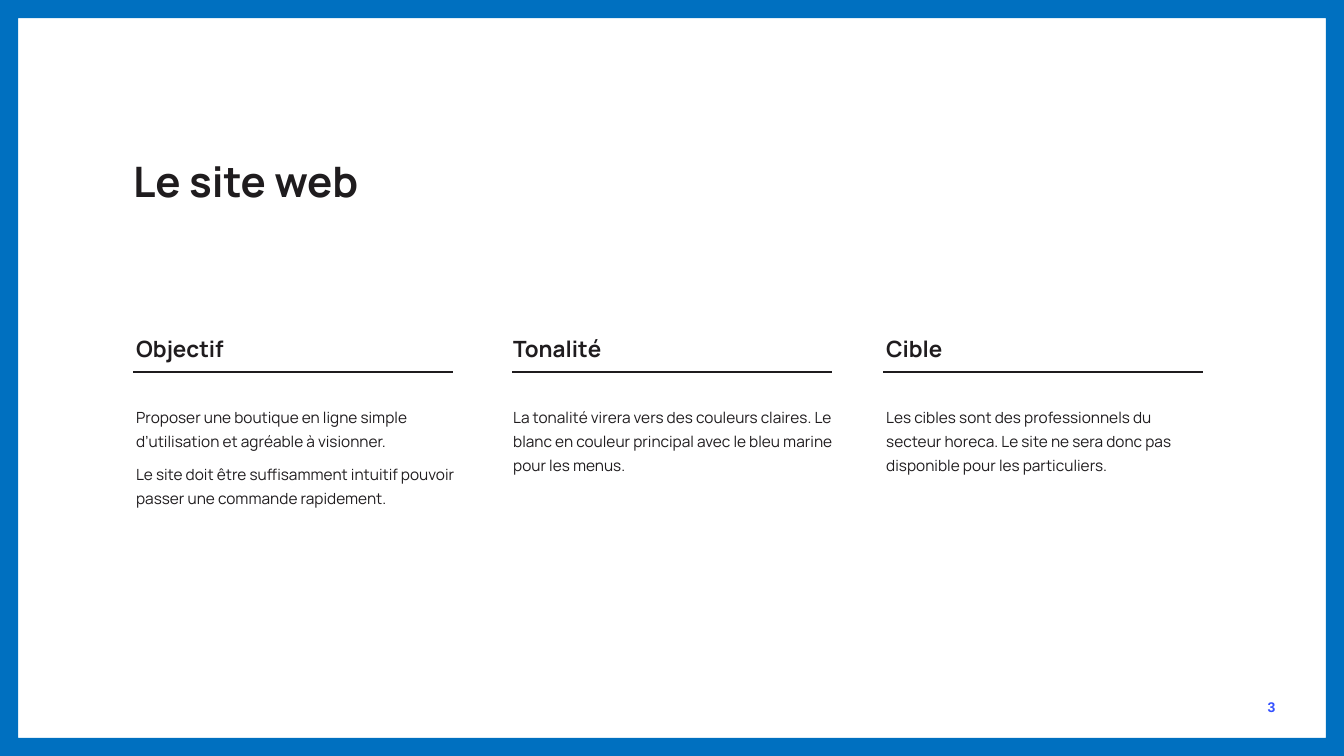
from pptx import Presentation
from pptx.dml.color import RGBColor
from pptx.enum.shapes import MSO_CONNECTOR, MSO_SHAPE
from pptx.enum.text import MSO_ANCHOR, MSO_AUTO_SIZE, PP_ALIGN
from pptx.oxml.ns import qn
from pptx.util import Inches, Pt

BLUE = RGBColor(0x00, 0x70, 0xC0)
INK = RGBColor(0x1F, 0x1C, 0x1E)
VIOLET = RGBColor(0x33, 0x50, 0xFF)
FONT = "Manrope"
STRAIGHT = MSO_CONNECTOR.STRAIGHT
FRAME = MSO_SHAPE.FRAME
TOP, MIDDLE = MSO_ANCHOR.TOP, MSO_ANCHOR.MIDDLE
LEFT, RIGHT = PP_ALIGN.LEFT, PP_ALIGN.RIGHT
NO_FIT = MSO_AUTO_SIZE.NONE

WIDTH, HEIGHT = 13.33, 7.5
BORDER = 0.18
COL_WIDTH = 3.17
COL_TOP, RULE_TOP = 3.35, 3.69
LEADING = Pt(17.2)

# text left, rule left, heading, paragraphs
COLUMNS = [
    (1.35, 1.32, "Objectif", [
        "Proposer une boutique en ligne simple d’utilisation et agréable à visionner.",
        "Le site doit être suffisamment intuitif pouvoir passer une commande rapidement.",
    ]),
    (5.09, 5.08, "Tonalité", [
        "La tonalité virera vers des couleurs claires. Le blanc en couleur principal "
        "avec le bleu marine pour les menus.",
    ]),
    (8.79, 8.76, "Cible", [
        "Les cibles sont des professionnels du secteur horeca. Le site ne sera donc "
        "pas disponible pour les particuliers.",
    ]),
]


def style(para, size, bold=False, color=INK, font=FONT, align=LEFT):
    para.alignment = align
    for run in para.runs:
        run.font.name = font
        run.font.size = Pt(size)
        run.font.bold = bold
        run.font.color.rgb = color


def set_frame(shape, anchor=TOP):
    """Give a text shape no insets, wrapping and a fixed size."""
    frame = shape.text_frame
    frame.margin_left = frame.margin_right = 0
    frame.margin_top = frame.margin_bottom = 0
    frame.auto_size = NO_FIT
    frame.word_wrap = True
    frame.vertical_anchor = anchor
    return frame


def add_box(slide, left, top, width, height, anchor=TOP):
    box = slide.shapes.add_textbox(
        Inches(left), Inches(top), Inches(width), Inches(height))
    return set_frame(box, anchor)


def add_border(slide):
    border = slide.shapes.add_shape(FRAME, 0, 0, Inches(WIDTH), Inches(HEIGHT))
    border.adjustments[0] = BORDER / HEIGHT
    border.shadow.inherit = False
    border.fill.solid()
    border.fill.fore_color.rgb = BLUE
    border.line.fill.background()


def add_title(slide, text):
    title = slide.shapes.title
    title.left, title.top = Inches(1.32), Inches(1.54)
    title.width, title.height = Inches(4.73), Inches(0.66)
    frame = set_frame(title)
    frame.text = text
    style(frame.paragraphs[0], 30, bold=True)


def add_rule(slide, left):
    y = Inches(RULE_TOP)
    rule = slide.shapes.add_connector(
        STRAIGHT, Inches(left), y, Inches(left + COL_WIDTH), y)
    rule.line.color.rgb = INK
    rule.line.width = Pt(1)
    props = rule.element.spPr
    props.append(props.makeelement(qn("a:effectLst"), {}))


def add_column(slide, left, rule_left, heading, texts):
    frame = add_box(slide, left, COL_TOP, COL_WIDTH, 2.46)
    head = frame.paragraphs[0]
    head.text = heading
    head.line_spacing = LEADING
    style(head, 16, bold=True)
    for i, text in enumerate(texts):
        para = frame.add_paragraph()
        para.text = text
        para.line_spacing = LEADING
        para.space_before = Pt(6 if i else 29.2)
        style(para, 11)
    add_rule(slide, rule_left)


def add_number(slide, text):
    frame = add_box(slide, 12.07, 6.82, 0.58, 0.38, MIDDLE)
    frame.text = text
    style(frame.paragraphs[0], 10, True, VIOLET, "Arial", RIGHT)


def main():
    deck = Presentation()
    deck.slide_width, deck.slide_height = Inches(WIDTH), Inches(HEIGHT)
    slide = deck.slides.add_slide(deck.slide_layouts.get_by_name("Title Only"))
    add_border(slide)
    add_title(slide, "Le site web")
    for column in COLUMNS:
        add_column(slide, *column)
    add_number(slide, "3")
    deck.save("out.pptx")


if __name__ == "__main__":
    main()
